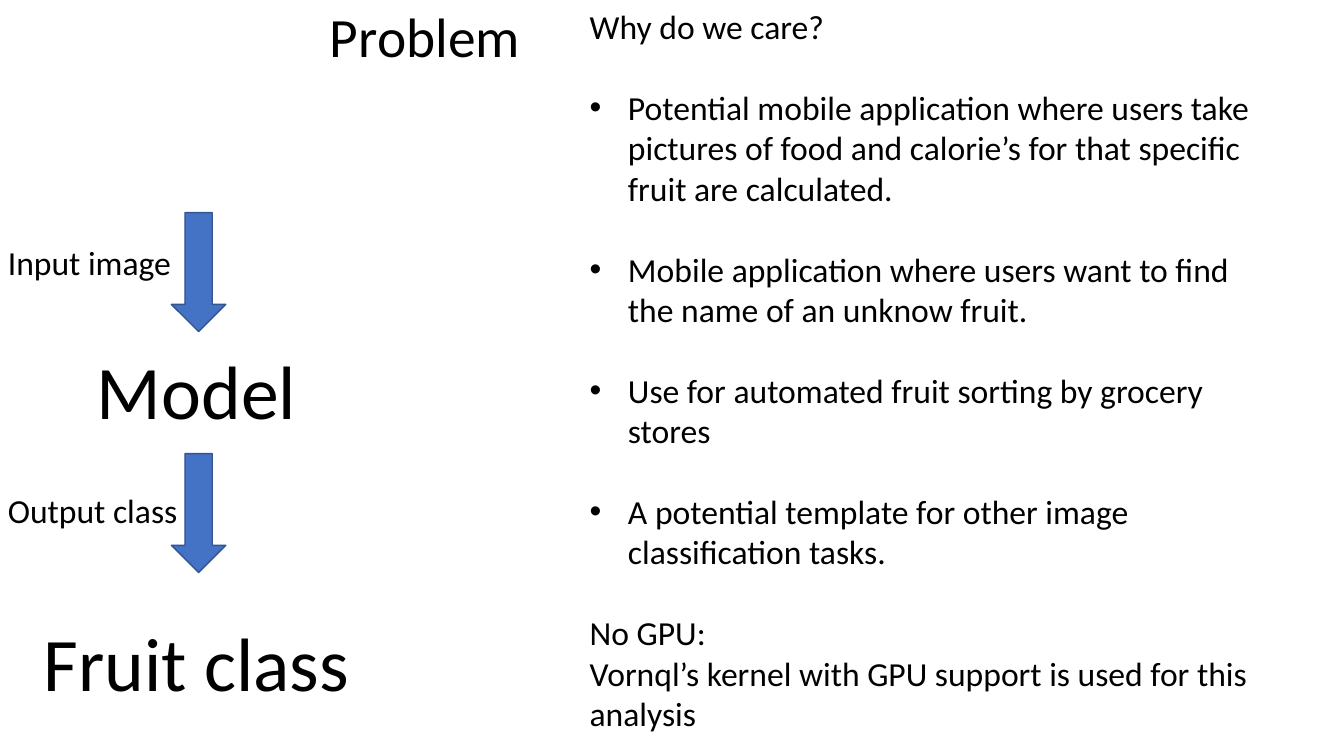
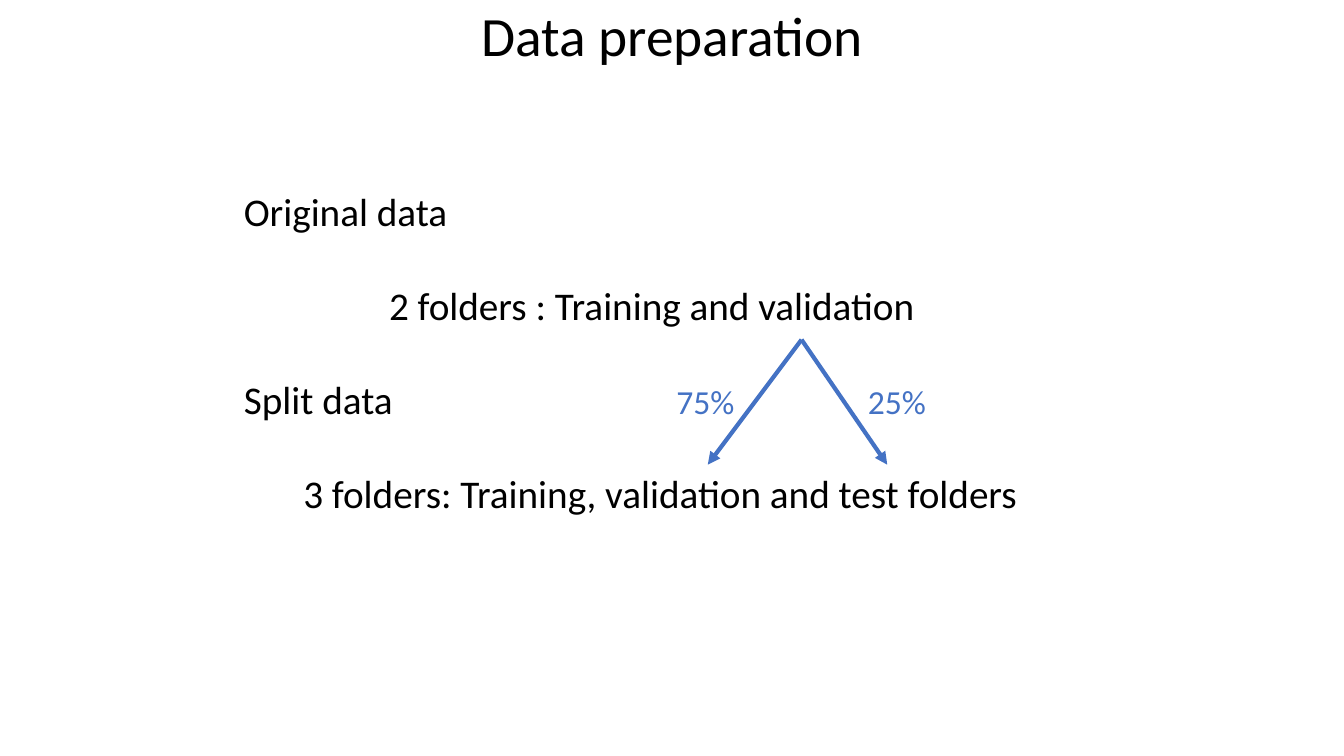
from dataclasses import dataclass
from lxml.etree import SubElement as Sub
from pptx import Presentation
from pptx.dml.color import RGBColor as RGB
from pptx.enum.shapes import MSO_CONNECTOR as Conn, MSO_SHAPE as Geo
from pptx.enum.text import MSO_ANCHOR as Anchor, PP_ALIGN as Align
from pptx.oxml.ns import qn
from pptx.util import Inches, Pt


@dataclass(frozen=True)
class Theme:
    font: str = "Calibri"
    ink: RGB = RGB(0, 0, 0)
    blue: RGB = RGB(0x44, 0x72, 0xC4)
    edge: RGB = RGB(0x32, 0x54, 0x91)
    title: float = 39.6
    big: float = 54
    mid: float = 28
    body: float = 24


T = Theme()
WIDE, HIGH = 13.33, 7.5
CENTER = {"alignment": Align.CENTER}
TITLE = {**CENTER, "line_spacing": 0.9}


def put(obj, vals):
    for key, val in vals.items():
        setattr(obj, key, val)


def frame(slide, box, wrap=True, anchor=Anchor.TOP):
    shape = slide.shapes.add_textbox(*map(Inches, box))
    put(shape.text_frame, {"word_wrap": wrap, "vertical_anchor": anchor})
    return shape.text_frame


def write(par, text, size, color=T.ink, **form):
    put(par, form)
    run = par.add_run()
    run.text = text
    put(run.font, {"name": T.font, "size": Pt(size)})
    run.font.color.rgb = color


def indent(par, left, first=0.0, mark=None):
    props = par._p.get_or_add_pPr()
    props.set("marL", str(Inches(left)))
    props.set("indent", str(Inches(first)))
    if mark:
        Sub(props, qn("a:buFont"), typeface="Arial")
        Sub(props, qn("a:buChar"), char=mark)


def label(slide, box, text, size, color=T.ink, **form):
    write(frame(slide, box, wrap=False).paragraphs[0], text, size, color, **form)


def title(slide, box, text):
    par = frame(slide, box, anchor=Anchor.MIDDLE).paragraphs[0]
    write(par, text, T.title, **TITLE)


def block(slide, box, items, size, gap):
    """Write (text, spaced, indents) items, with a gap above spaced ones."""
    text = frame(slide, box)
    for n, (words, spaced, dent) in enumerate(items):
        par = text.add_paragraph() if n else text.paragraphs[0]
        write(par, words, size, space_before=Pt(gap if spaced else 0))
        if dent:
            indent(par, *dent)


def arrow(slide, box):
    shape = slide.shapes.add_shape(Geo.DOWN_ARROW, *map(Inches, box))
    shape.shadow.inherit = False
    shape.fill.solid()
    shape.fill.fore_color.rgb = T.blue
    shape.line.color.rgb = T.edge
    shape.line.width = Pt(1)


def branch(slide, start, end):
    line = slide.shapes.add_connector(Conn.STRAIGHT, *map(Inches, start + end))
    line.line.color.rgb = T.blue
    line.line.width = Pt(3)
    Sub(line.line._get_or_add_ln(), qn("a:tailEnd"), type="triangle")
    Sub(line._element.spPr, qn("a:effectLst"))


def flow(slide, box):
    """Input, model and output, from top to bottom."""
    left, top, wide, high = box
    mid = left + wide / 2
    for y, words, dy, width in ((0, "Input image", 0.24, 1.83),
                                (2.39, "Output class", 0.31, 1.9)):
        arrow(slide, (mid - 0.27, top + y, 0.54, 1.18))
        label(slide, (left, top + y + dy, width, 0.5), words, T.body)
    for y, words, width in ((1.25, "Model", 2.2), (high - 1.01, "Fruit class", 3.26)):
        label(slide, (mid - 0.02 - width / 2, top + y, width, 1.01),
              words, T.big, **CENTER)


def split(slide, box):
    """Two arrows from one point, each with its share."""
    left, top, wide, high = box
    peak = left + 0.93
    for end, words, x in ((left, "75%", -0.41), (left + wide, "25%", 1.49)):
        branch(slide, (peak, top), (end, top + high))
        label(slide, (left + x, top + 0.36, 0.78, 0.5), words, T.body, T.blue)


def problem(slide):
    title(slide, (2.84, 0.01, 2.75, 0.76), "Problem")
    flow(slide, (-0.02, 2.11, 3.98, 4.96))
    # Reasons
    dot = (0.38, -0.38, "•")
    uses = (
        "Potential mobile application where users take pictures of food and "
        "calorie’s for that specific fruit are calculated.",
        "Mobile application where users want to find the name of an unknow fruit.",
        "Use for automated fruit sorting by grocery stores",
        "A potential template for other image classification tasks.",
    )
    items = [("Why do we care?", False, None)]
    items += [(use, True, dot) for use in uses]
    items += [("No GPU:", True, None),
              ("Vornql’s kernel with GPU support is used for this analysis", False, None)]
    block(slide, (5.75, 0.01, 7.05, 7.4), items, T.body, 29)


def data(slide):
    title(slide, (0, 0, WIDE, 0.76), "Data preparation")
    # Steps
    items = (
        ("Original data", False, (1.5,)),
        ("2 folders : Training and validation", True, (2.94,)),
        ("Split data", True, (1.5,)),
        ("3 folders: Training, validation and test folders", True, (2.09,)),
    )
    block(slide, (0.82, 1.81, 11.7, 3.87), items, T.mid, 33.5)
    split(slide, (7.02, 3.37, 1.78, 1.24))


def main():
    deck = Presentation()
    put(deck, {"slide_width": Inches(WIDE), "slide_height": Inches(HIGH)})
    for build in (problem, data):
        build(deck.slides.add_slide(deck.slide_layouts[6]))
    deck.save("out.pptx")


if __name__ == "__main__":
    main()
